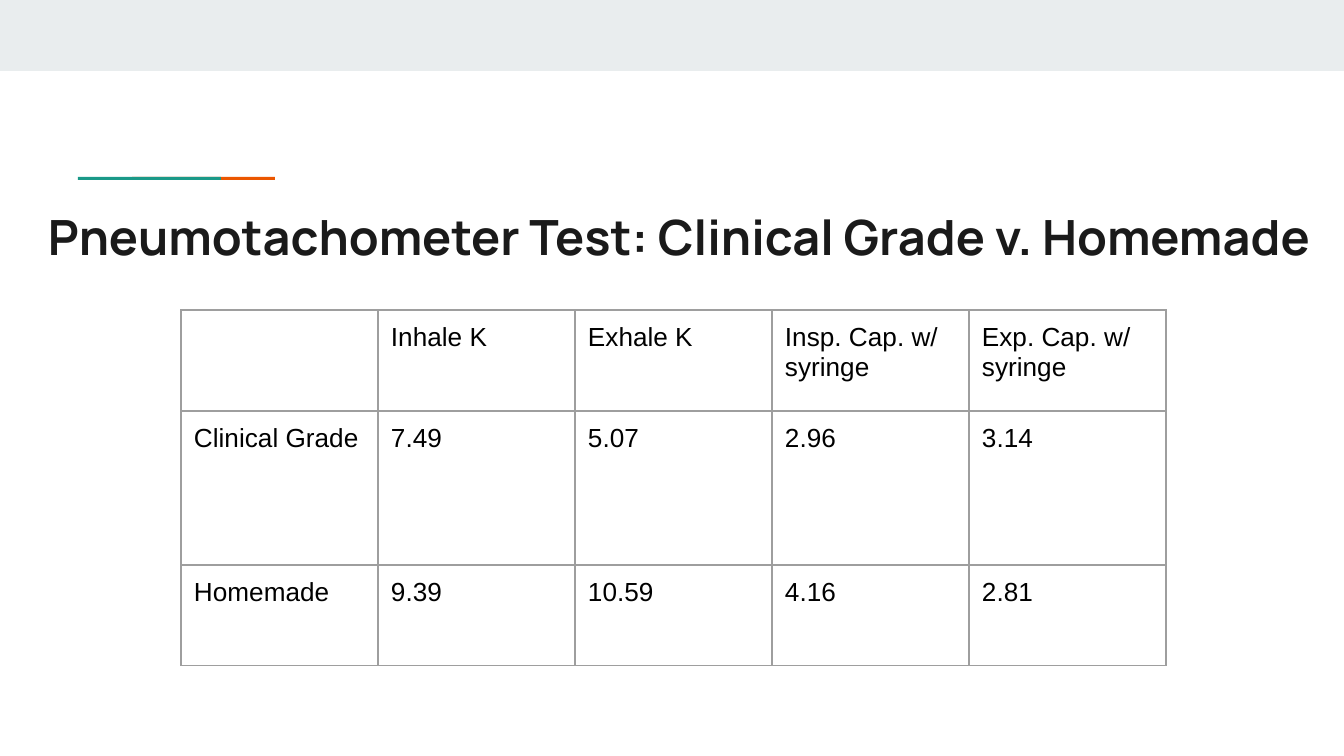
from lxml.etree import SubElement
from pptx import Presentation
from pptx.dml.color import RGBColor as RGB
from pptx.enum.shapes import MSO_SHAPE as Kind
from pptx.enum.text import MSO_ANCHOR as Anchor
from pptx.oxml.ns import qn
from pptx.util import Emu, Pt

WIDE, HIGH = 1344, 756
SCALE = 9144000 / WIDE
PAD = 13
COLORS = {"band": "E9EDEE", "teal": "1A9988", "orange": "EB5600",
          "title": "1A1A1A", "text": "000000", "grid": "9E9E9E"}


def px(n):
    return Emu(round(n * SCALE))


class Deck:
    def __init__(self):
        self.prs = Presentation()
        self.prs.slide_width, self.prs.slide_height = px(WIDE), px(HIGH)
        self.slide = self.prs.slides.add_slide(self.prs.slide_layouts[6])

    def rect(self, x, y, w, h, color):
        box = self.slide.shapes.add_shape(Kind.RECTANGLE, px(x), px(y), px(w), px(h))
        box.shadow.inherit = False
        box.fill.solid()
        box.fill.fore_color.rgb = RGB.from_string(COLORS[color])
        box.line.fill.background()

    def style(self, para, font, size, color, bold=False):
        para.font.name, para.font.size, para.font.bold = font, Pt(size), bold
        para.font.color.rgb = RGB.from_string(COLORS[color])

    def inset(self, item):
        item.margin_left = item.margin_right = px(PAD)
        item.margin_top = item.margin_bottom = px(PAD)
        item.vertical_anchor = Anchor.TOP

    def title(self, x, y, w, h, text):
        frame = self.slide.shapes.add_textbox(px(x), px(y), px(w), px(h)).text_frame
        frame.word_wrap = True
        self.inset(frame)
        frame.text = text
        self.style(frame.paragraphs[0], "Manrope", 26, "title", True)

    def border(self, cell):
        props = cell._tc.get_or_add_tcPr()
        for i, side in enumerate(("lnL", "lnR", "lnT", "lnB")):
            line = props.makeelement(qn(f"a:{side}"), {"w": str(Pt(0.75))})
            fill = SubElement(line, qn("a:solidFill"))
            SubElement(fill, qn("a:srgbClr"), val=COLORS["grid"])
            props.insert(i, line)

    def table(self, x, y, col, highs, rows):
        count = len(rows[0])
        table = self.slide.shapes.add_table(len(rows), count, px(x), px(y),
                                            px(col * count), px(sum(highs))).table
        table.first_row = table.horz_banding = False
        for item in table.columns:
            item.width = px(col)
        for item, high, row in zip(table.rows, highs, rows):
            item.height = px(high)
            for cell, text in zip(item.cells, row):
                cell.text = text
                cell.fill.background()
                self.inset(cell)
                self.border(cell)
                self.style(cell.text_frame.paragraphs[0], "Arial", 14, "text")


deck = Deck()

# Top band and overlapping accent bars
deck.rect(0, 0, WIDE, 71, "band")
for x, color in ((132, "orange"), (78, "teal")):
    deck.rect(x, 177, 143, 3, color)

# Title
deck.title(35, 194, 1293, 79, "Pneumotachometer Test: Clinical Grade v. Homemade")

# Test results
deck.table(181, 310, 197, (101, 154, 101), [
    ("", "Inhale K", "Exhale K", "Insp. Cap. w/ syringe", "Exp. Cap. w/ syringe"),
    ("Clinical Grade", "7.49", "5.07", "2.96", "3.14"),
    ("Homemade", "9.39", "10.59", "4.16", "2.81"),
])

deck.prs.save("out.pptx")
